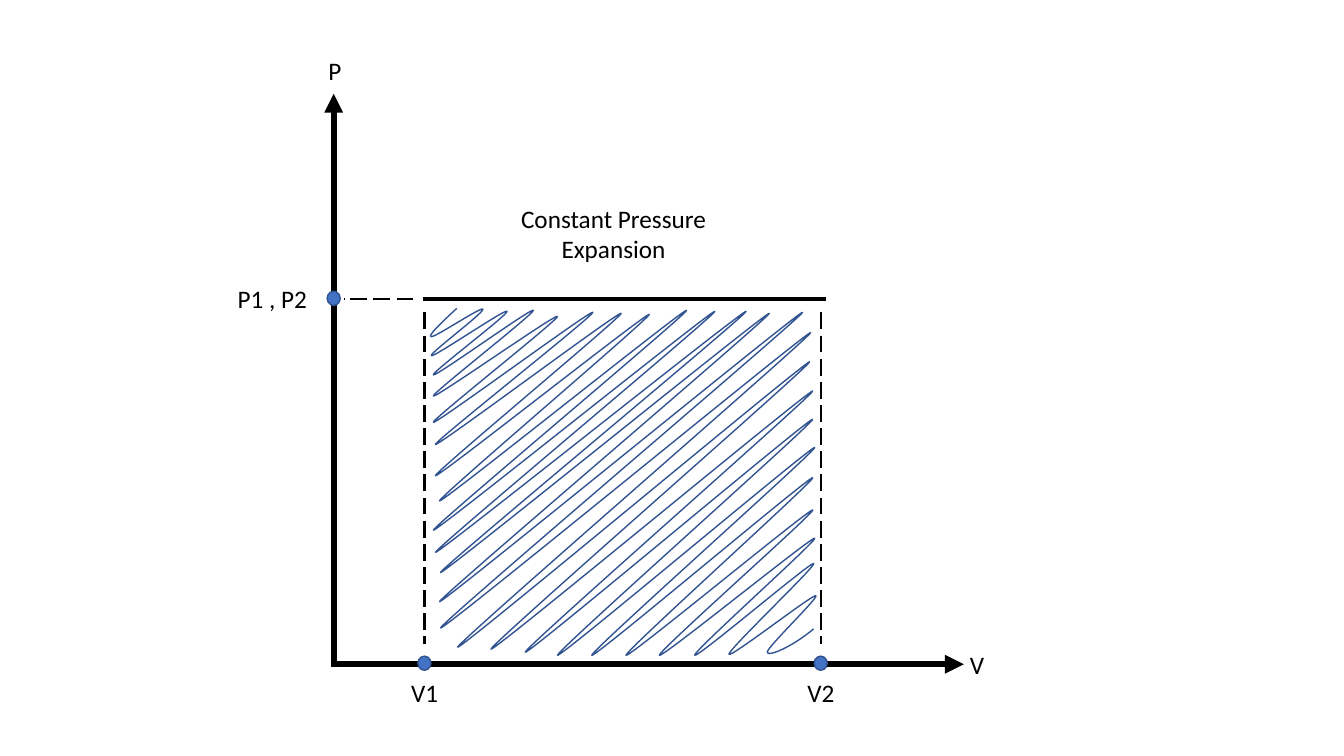
import pptx
import pptx.dml.color
import pptx.enum.dml
import pptx.enum.shapes
import pptx.enum.text
import pptx.oxml
import pptx.oxml.ns
import pptx.util

Inches = pptx.util.Inches
Pt = pptx.util.Pt
qn = pptx.oxml.ns.qn

BLACK = pptx.dml.color.RGBColor(0x00, 0x00, 0x00)
BLUE = pptx.dml.color.RGBColor(0x44, 0x72, 0xC4)
DARK_BLUE = pptx.dml.color.RGBColor(0x32, 0x54, 0x91)

AXIS_X, AXIS_Y = 3.31, 6.59
V1_X, V2_X = 4.21, 8.14
PRESSURE_Y = 2.97

# Turning points of the hatching, by the side of the area they touch
LEFT = [(4.28, 3.34), (4.28, 3.53), (4.3, 3.72), (4.3, 3.93), (4.3, 4.19),
        (4.32, 4.41), (4.32, 4.72), (4.36, 4.97), (4.3, 5.26), (4.32, 5.48),
        (4.37, 5.68), (4.36, 5.97)]
TOP = [(4.79, 3.07), (4.79, 3.1), (5.03, 3.09), (5.29, 3.08), (5.53, 3.14),
       (5.88, 3.1), (6.16, 3.11), (6.44, 3.12), (6.81, 3.08), (7.09, 3.09),
       (7.4, 3.09), (7.63, 3.11), (7.96, 3.1)]
TOP.pop(1)
BOTTOM = [(4.37, 6.23), (4.54, 6.42), (4.87, 6.44), (5.21, 6.47), (5.53, 6.5),
          (5.87, 6.5), (6.21, 6.5), (6.54, 6.5), (6.89, 6.5), (7.23, 6.49),
          (7.61, 6.47)]
RIGHT = [(8.04, 3.3), (8.03, 3.59), (8.06, 3.88), (8.06, 4.16), (8.08, 4.44),
         (8.06, 4.74), (8.06, 5.06), (8.08, 5.34), (8.07, 5.59), (8.09, 5.91)]


def hatch_nodes():
    """Return (x, y, dx, dy) nodes; dx, dy is the handle of the curve."""
    nodes = [(4.53, 3.06, -0.15, 0.14)]
    for left, top in zip(LEFT, TOP):
        nodes += [(*left, 0.05, 0), (*top, 0, 0.04)]
    for bottom, right in zip(BOTTOM, RIGHT):
        nodes += [(*bottom, 0, 0.05), (*right, 0.05, 0)]
    nodes += [(*BOTTOM[-1], 0, 0.05), (8.07, 6.24, 0.23, -0.19)]
    return nodes


class Diagram:
    def __init__(self, slide):
        self.shapes = slide.shapes
        self.font = "Calibri"
        self.size = Pt(18)

    def line(self, x1, y1, x2, y2, width, dashed=False, arrow=False):
        c = self.shapes.add_connector(
            pptx.enum.shapes.MSO_CONNECTOR.STRAIGHT,
            Inches(x1), Inches(y1), Inches(x2), Inches(y2))
        c.line.color.rgb = BLACK
        c.line.width = Pt(width)
        if dashed:
            c.line.dash_style = pptx.enum.dml.MSO_LINE.LONG_DASH
        if arrow:
            tail = pptx.oxml.parse_xml(
                '<a:tailEnd xmlns:a="http://schemas.openxmlformats.org/'
                'drawingml/2006/main" type="triangle"/>')
            c.line._get_or_add_ln().append(tail)
        sp_pr = c._element.spPr
        sp_pr.append(sp_pr.makeelement(qn("a:effectLst"), {}))

    def text(self, text, x, y, w, h=0.4, align=pptx.enum.text.PP_ALIGN.LEFT):
        tf = self.shapes.add_textbox(
            Inches(x), Inches(y), Inches(w), Inches(h)).text_frame
        tf.word_wrap = True
        tf.auto_size = pptx.enum.text.MSO_AUTO_SIZE.SHAPE_TO_FIT_TEXT
        p = tf.paragraphs[0]
        p.alignment = align
        r = p.add_run()
        r.text = text
        r.font.name = self.font
        r.font.size = self.size
        r.font.color.rgb = BLACK

    def outline(self, sp):
        sp.shadow.inherit = False
        sp.line.color.rgb = DARK_BLUE
        sp.line.width = Pt(1)

    def dot(self, x, y, w=0.13, h=0.14):
        """Draw a state point centred on x, y."""
        sp = self.shapes.add_shape(
            pptx.enum.shapes.MSO_SHAPE.OVAL,
            Inches(x - w / 2), Inches(y - h / 2), Inches(w), Inches(h))
        sp.fill.solid()
        sp.fill.fore_color.rgb = BLUE
        self.outline(sp)

    def curve(self, nodes):
        """Draw an open smooth curve through (x, y, dx, dy) nodes."""
        points = [(Inches(x), Inches(y)) for x, y, _, _ in nodes]
        builder = self.shapes.build_freeform(*points[0])
        builder.add_line_segments(points[1:], close=False)
        sp = builder.convert_to_shape()
        sp.fill.background()
        self.outline(sp)
        segments = list(sp._element.iter(qn("a:lnTo")))
        for segment, start, end in zip(segments, nodes, nodes[1:]):
            x1, y1, dx1, dy1 = start
            x2, y2, dx2, dy2 = end
            bezier = segment.makeelement(qn("a:cubicBezTo"), {})
            for x, y in ((x1 + dx1, y1 + dy1), (x2 - dx2, y2 - dy2), (x2, y2)):
                bezier.append(segment.makeelement(qn("a:pt"), {
                    "x": str(Inches(x) - sp.left),
                    "y": str(Inches(y) - sp.top)}))
            segment.getparent().replace(segment, bezier)


def main():
    prs = pptx.Presentation()
    prs.slide_width, prs.slide_height = Inches(13.33), Inches(7.5)
    d = Diagram(prs.slides.add_slide(prs.slide_layouts[6]))

    d.line(AXIS_X, 6.62, AXIS_X, 0.93, 4.5, arrow=True)
    d.line(3.29, AXIS_Y, 9.56, AXIS_Y, 4.5, arrow=True)
    d.text("P", 3.16, 0.5, 0.3)
    d.text("V", 9.52, 6.39, 0.3)

    d.line(4.2, PRESSURE_Y, 8.19, PRESSURE_Y, 3)
    d.line(4.1, PRESSURE_Y, 3.41, PRESSURE_Y, 1.5, dashed=True)
    d.dot(AXIS_X, 2.96)
    d.text("P1 , P2", 2.26, 2.76, 1.14)

    for name, x, label_x in (("V1", V1_X, 3.98), ("V2", V2_X, 7.91)):
        d.line(x, 3.1, x, 6.39, 1.5, dashed=True)
        d.dot(x, 6.58)
        d.text(name, label_x, 6.67, 0.6)

    d.curve(hatch_nodes())
    d.text("Constant Pressure Expansion", 4.58, 1.97, 3.01, 0.71,
           pptx.enum.text.PP_ALIGN.CENTER)
    prs.save("out.pptx")


if __name__ == "__main__":
    main()
